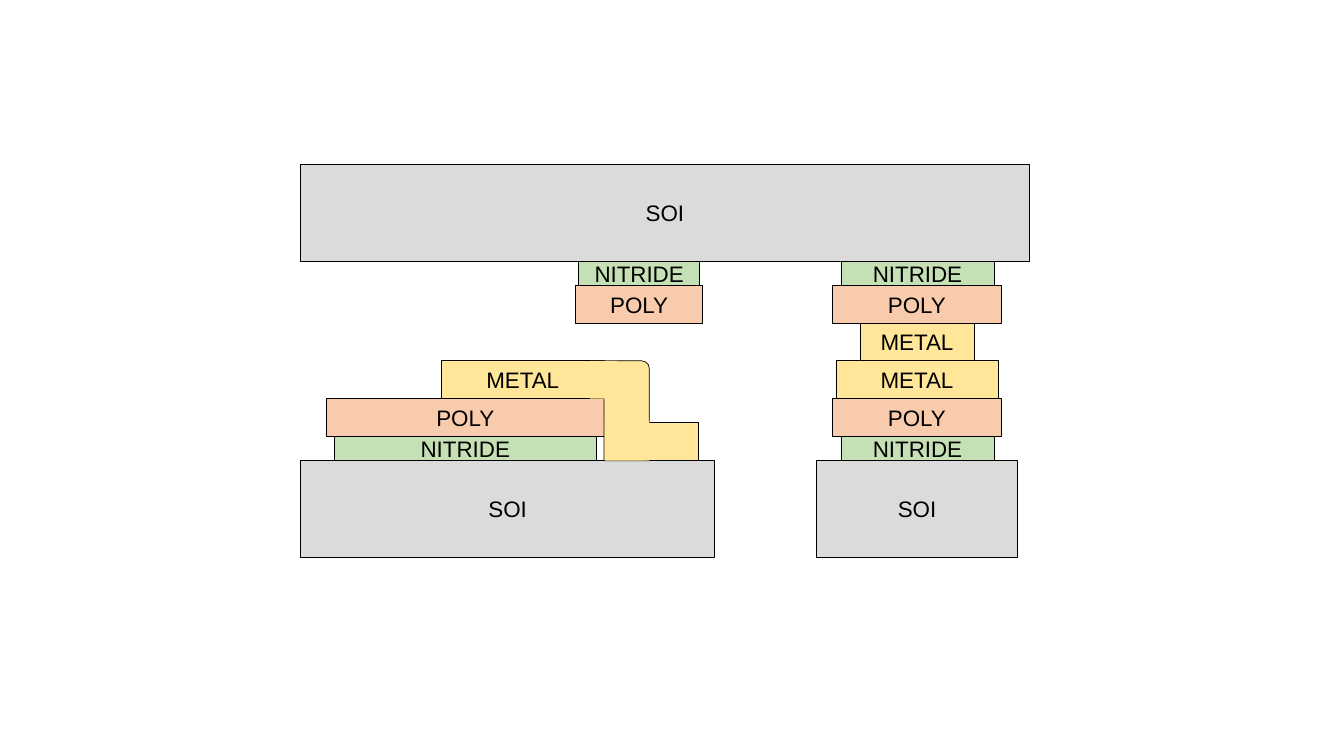
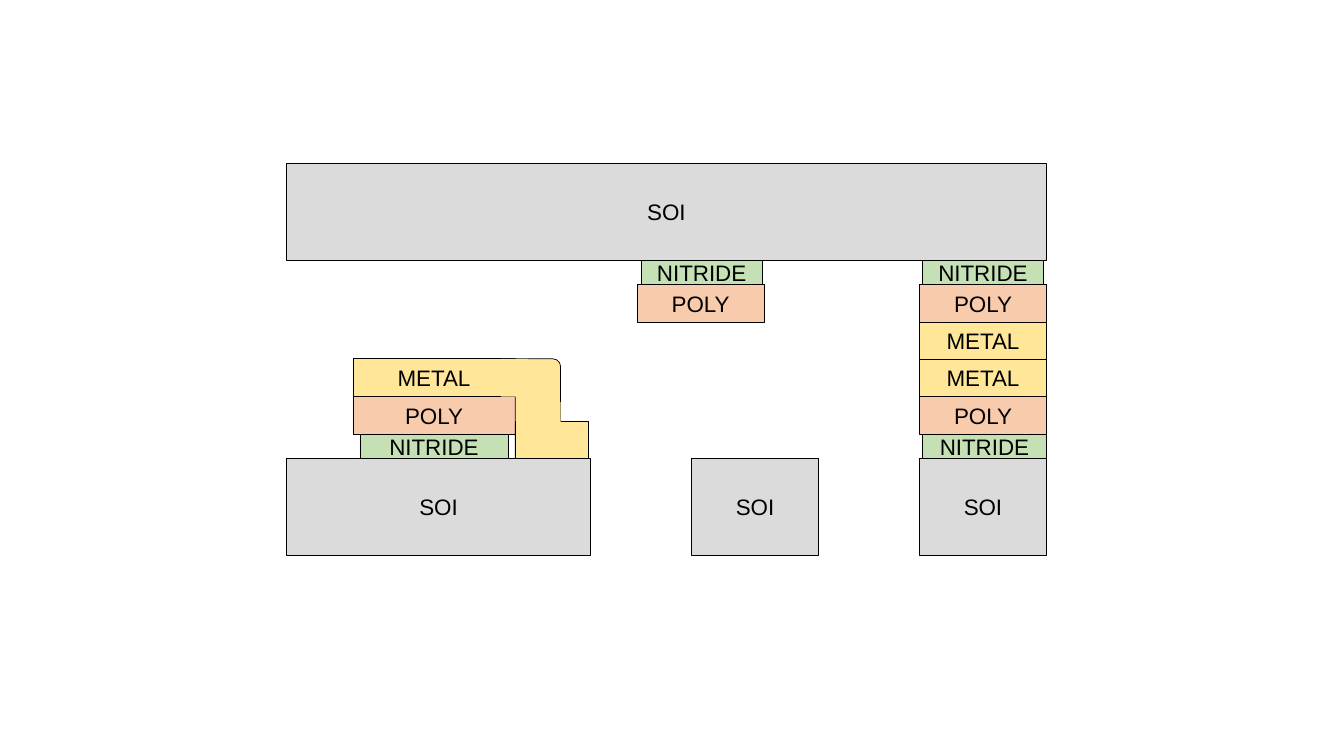
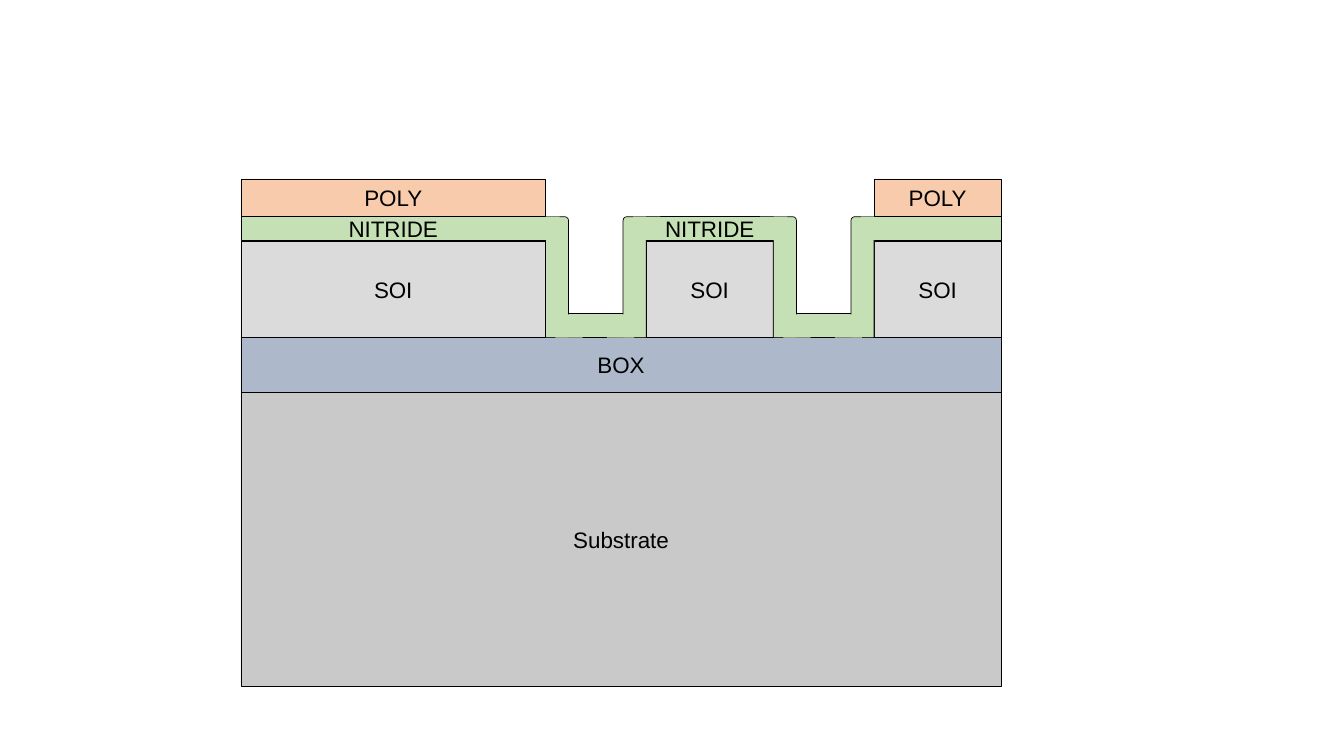
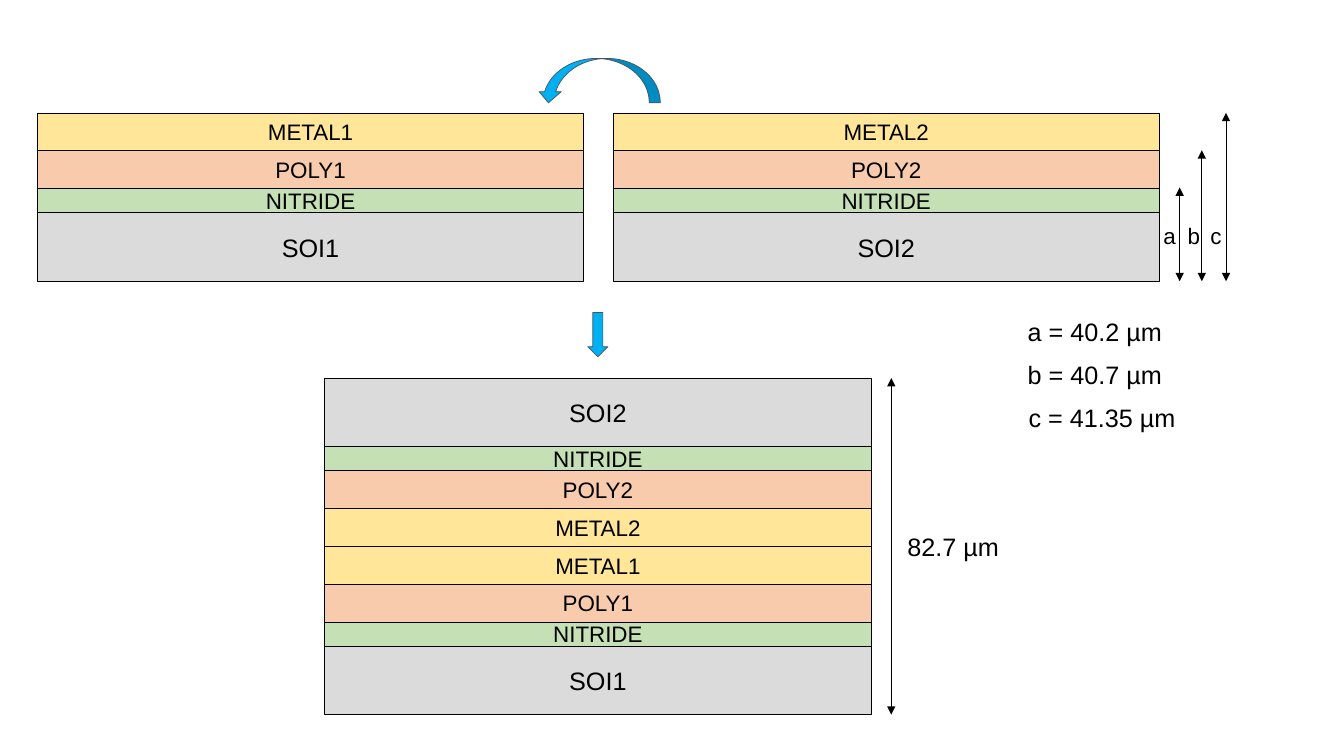
from dataclasses import dataclass
from enum import Enum
from typing import NamedTuple

from lxml.etree import SubElement
from pptx import Presentation
from pptx.dml.color import RGBColor as RGB
from pptx.enum.shapes import MSO_CONNECTOR as CONN, MSO_SHAPE as SHP
from pptx.enum.text import MSO_ANCHOR as ANCHOR, MSO_AUTO_SIZE as FIT, PP_ALIGN as AL
from pptx.oxml.ns import qn
from pptx.util import Inches, Pt

COLS, ROWS = 13.33, 7.5  # the grid has one-inch cells


@dataclass(frozen=True)
class Theme:
    font: str = "Arial"
    ink: str = "000000"
    arrow: str = "00B0F0"
    arrow_edge: str = "44546A"
    label: int = 16
    large: int = 18
    line: float = 0.5


THEME = Theme()


class Spec(NamedTuple):
    label: str
    fill: str
    thick: float
    size: int = THEME.label


class Mat(Enum):
    SOI = Spec("SOI", "DBDBDB", 0.96)
    THIN_SOI = Spec("SOI", "DBDBDB", 0.68, THEME.large)
    NITRIDE = Spec("NITRIDE", "C5E0B4", 0.24)
    POLY = Spec("POLY", "F8CBAD", 0.375)
    METAL = Spec("METAL", "FFE699", 0.375)
    BOX = Spec("BOX", "ADB9CA", 0.55)
    SUBSTRATE = Spec("Substrate", "C9C9C9", 2.92)


class Box(NamedTuple):
    left: float
    top: float
    width: float
    height: float


class Layer(NamedTuple):
    mat: Mat
    left: float
    width: float
    suffix: str = ""


class Dimension(NamedTuple):
    name: str
    x: float
    top: float
    label_left: float
    value: str
    value_top: float
    value_width: float


def write(sp, text: str, size: int, align=AL.CENTER) -> None:
    p = sp.text_frame.paragraphs[0]
    p.text = text
    p.alignment = align
    f = p.runs[0].font
    f.name, f.size = THEME.font, Pt(size)
    f.color.rgb = RGB.from_string(THEME.ink)


def draw(s, box: Box, fill: str, kind=SHP.RECTANGLE, edge: str | None = THEME.ink,
         flip: bool = False):
    sp = s.shapes.add_shape(kind, *map(Inches, box))
    sp.shadow.inherit = False
    sp.fill.solid()
    sp.fill.fore_color.rgb = RGB.from_string(fill)
    if edge:
        sp.line.color.rgb = RGB.from_string(edge)
        sp.line.width = Pt(THEME.line)
    else:
        sp.line.fill.background()
    if flip:
        sp.element.spPr.find(qn("a:xfrm")).set("flipH", "1")
    return sp


def patch(s, box: Box, mat: Mat) -> None:
    """Hide the seam where two parts of one film meet."""
    draw(s, box, mat.value.fill, edge=None)


def block(s, layer: Layer, top: float, labelled: bool = True) -> None:
    m = layer.mat.value
    sp = draw(s, Box(layer.left, top, layer.width, m.thick), m.fill)
    if labelled:
        sp.text_frame.vertical_anchor = ANCHOR.MIDDLE
        write(sp, m.label + layer.suffix, m.size)


def stack_up(s, base: float, *layers: Layer) -> None:
    for layer in layers:
        base -= layer.mat.value.thick
        block(s, layer, base)


def stack_down(s, top: float, *layers: Layer) -> None:
    for layer in layers:
        block(s, layer, top)
        top += layer.mat.value.thick


def metal_step(s, x: float, base: float, foot: tuple[float, float], seam: Box) -> None:
    """Metal running down a film edge; foot and seam are relative to (x, base)."""
    m = Mat.METAL.value
    height = 0.99
    draw(s, Box(x, base - height, 0.45, height), m.fill, SHP.ROUND_1_RECTANGLE)
    patch(s, Box(x - 0.14, base - height, 0.27, m.thick), Mat.METAL)
    draw(s, Box(x + foot[0], base - m.thick, foot[1], m.thick), m.fill)
    patch(s, Box(x + seam.left, base + seam.top, seam.width, seam.height), Mat.METAL)


def trench(s, x: float, top: float, bottom: float) -> None:
    """Nitride lining of a one-column gap between two SOI blocks."""
    m, wall = Mat.NITRIDE.value, 0.23
    draw(s, Box(x, bottom - m.thick, 1, m.thick), m.fill)
    for left, flip in ((x, False), (x + 1 - wall, True)):
        draw(s, Box(left, top, wall, bottom - top), m.fill, SHP.ROUND_1_RECTANGLE, flip=flip)
    for dx, y in ((-0.13, top), (0.1, bottom - wall), (0.61, bottom - wall), (0.87, top)):
        patch(s, Box(x + dx, y, 0.27, wall), Mat.NITRIDE)


def double_arrow(s, x: float, top: float, bottom: float) -> None:
    c = s.shapes.add_connector(CONN.STRAIGHT, *map(Inches, (x, top, x, bottom)))
    c.line.color.rgb = RGB.from_string(THEME.ink)
    c.line.width = Pt(THEME.line)
    ln = c.line._get_or_add_ln()
    for end in ("a:headEnd", "a:tailEnd"):
        SubElement(ln, qn(end)).set("type", "triangle")
    SubElement(c.element.spPr, qn("a:effectLst"))


def note(s, box: Box, text: str, size: int = THEME.large, align=AL.CENTER) -> None:
    sp = s.shapes.add_textbox(*map(Inches, box))
    sp.text_frame.word_wrap = True
    sp.text_frame.auto_size = FIT.SHAPE_TO_FIT_TEXT
    write(sp, text, size, align)


def bonded_anchor(s) -> None:
    base, top = 4.57, 1.63
    under = top + Mat.SOI.value.thick
    stack_down(s, base, Layer(Mat.SOI, 2.98, 4.11))
    stack_up(s, base, Layer(Mat.NITRIDE, 3.32, 2.59), Layer(Mat.POLY, 3.24, 2.75),
             Layer(Mat.METAL, 4.38, 1.61))
    metal_step(s, 5.99, base, (0.38, 0.56), Box(0.01, -0.4, 0.44, 0.4))
    stack_down(s, base, Layer(Mat.SOI, 8.1, 1.99))
    stack_up(s, base, Layer(Mat.NITRIDE, 8.34, 1.52), Layer(Mat.POLY, 8.26, 1.67),
             Layer(Mat.METAL, 8.29, 1.61))
    stack_down(s, top, Layer(Mat.SOI, 2.98, 7.23), Layer(Mat.NITRIDE, 8.34, 1.52),
               Layer(Mat.POLY, 8.26, 1.67), Layer(Mat.METAL, 8.53, 1.13))
    stack_down(s, under, Layer(Mat.NITRIDE, 5.74, 1.2), Layer(Mat.POLY, 5.71, 1.26))


def bonded_island(s) -> None:
    base, top, pad = 4.55, 1.62, 1.26
    under = top + Mat.SOI.value.thick
    stack_up(s, base, Layer(Mat.NITRIDE, 3.57, 1.47), Layer(Mat.POLY, 3.5, 1.61),
             Layer(Mat.METAL, 3.5, 1.61))
    for left, width in ((2.84, 3.02), (6.86, pad), (9.12, pad)):
        block(s, Layer(Mat.SOI, left, width), base)
    stack_up(s, base, Layer(Mat.NITRIDE, 9.15, 1.23), Layer(Mat.POLY, 9.12, pad),
             Layer(Mat.METAL, 9.12, pad))
    metal_step(s, 5.11, base, (0, 0.73), Box(0.01, -0.56, 0.44, 0.37))
    stack_down(s, top, Layer(Mat.SOI, 2.84, 7.54), Layer(Mat.NITRIDE, 9.15, 1.2),
               Layer(Mat.POLY, 9.12, pad), Layer(Mat.METAL, 9.12, pad))
    stack_down(s, under, Layer(Mat.NITRIDE, 6.36, 1.2), Layer(Mat.POLY, 6.32, pad))


def lined_trenches(s) -> None:
    left, width, pad, bottom = 2.39, 7.54, 1.26, 3.35
    islands = ((left, 3.02), (6.41, pad), (8.67, pad))
    film_top = bottom - Mat.SOI.value.thick - Mat.NITRIDE.value.thick
    stack_down(s, bottom - 0.01, Layer(Mat.BOX, left, width), Layer(Mat.SUBSTRATE, left, width))
    for x, w in islands:
        block(s, Layer(Mat.SOI, x, w), bottom - Mat.SOI.value.thick)
        block(s, Layer(Mat.NITRIDE, x, w), film_top, labelled=x != islands[-1][0])
    for x, w in islands[:-1]:
        trench(s, x + w, film_top, bottom)
    for x, w in (islands[0], islands[-1]):
        stack_up(s, film_top, Layer(Mat.POLY, x, w))


def wafer_bonding(s) -> None:
    width, base, pile_left, pile_top, pile_base = 5.42, 2.79, 3.22, 3.75, 7.09
    films = (Mat.THIN_SOI, Mat.NITRIDE, Mat.POLY, Mat.METAL)

    def wafer(left: float, number: str) -> list[Layer]:
        return [Layer(m, left, width, "" if m is Mat.NITRIDE else number) for m in films]

    stack_up(s, base, *wafer(0.37, "1"))
    stack_up(s, base, *wafer(6.08, "2"))
    stack_up(s, pile_base, *wafer(pile_left, "1"), *reversed(wafer(pile_left, "2")))

    draw(s, Box(5.33, 0.58, 1.22, 0.44), THEME.arrow, SHP.CURVED_DOWN_ARROW,
         THEME.arrow_edge, flip=True)
    draw(s, Box(5.83, 3.1, 0.2, 0.44), THEME.arrow, SHP.DOWN_ARROW, THEME.arrow_edge)

    double_arrow(s, 8.84, pile_top, pile_base)
    note(s, Box(8.9, 5.22, 1.31, 0.4), "82.7 µm", align=AL.LEFT)
    for d in (Dimension("a", 11.7, 1.86, 11.38, "40.2", 3.09, 1.6),
              Dimension("b", 11.92, 1.49, 11.62, "40.7", 3.52, 1.6),
              Dimension("c", 12.16, 1.12, 11.84, "41.35", 3.94, 1.74)):
        double_arrow(s, d.x, d.top, base)
        note(s, Box(d.label_left, 2.15, 0.44, 0.37), d.name, THEME.label)
        note(s, Box(10.06, d.value_top, d.value_width, 0.4), f"{d.name} = {d.value} µm")


def main() -> None:
    prs = Presentation()
    prs.slide_width, prs.slide_height = Inches(COLS), Inches(ROWS)
    blank = prs.slide_layouts[6]
    for build in (bonded_anchor, bonded_island, lined_trenches, wafer_bonding):
        build(prs.slides.add_slide(blank))
    prs.save("out.pptx")


if __name__ == "__main__":
    main()
